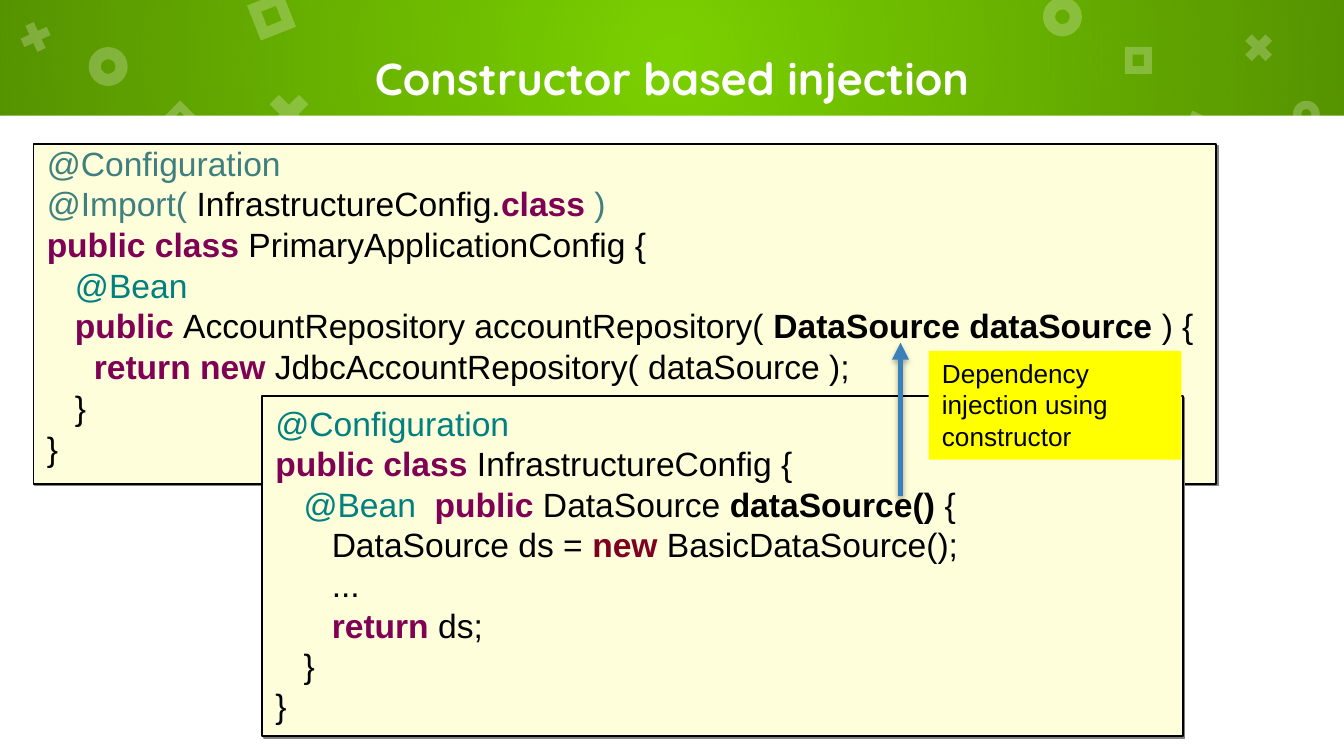
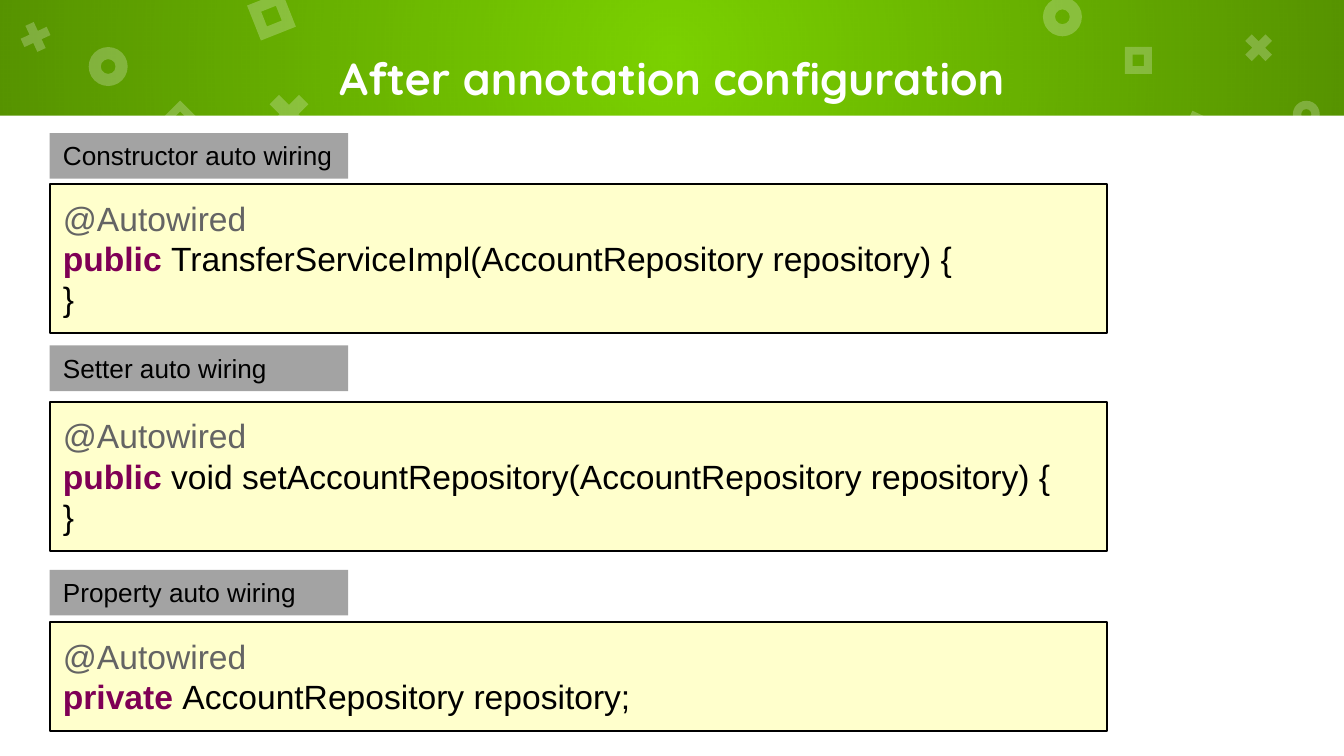
from lxml import etree
from pptx import Presentation
from pptx.dml.color import RGBColor
from pptx.enum.shapes import MSO_CONNECTOR, MSO_SHAPE as SHAPE
from pptx.enum.text import MSO_ANCHOR as ANCHOR, PP_ALIGN as ALIGN
from pptx.oxml import parse_xml
from pptx.oxml.ns import nsdecls, qn
from pptx.util import Inches, Pt

# ---- Shared look ----
SLIDE_WIDTH = 10
SLIDE_HEIGHT = SLIDE_WIDTH * 9 / 16
GREEN, WHITE, BLACK = "7BD100", "FFFFFF", "000000"
YELLOW, GREY, ARROW_BLUE = "FFFF00", "A3A3A3", "3A81BA"
LISTING_FILL, SNIPPET_FILL = "FEFFDA", "FFFFCC"
BAND_HEIGHT = 0.86
BODY_FONT, TITLE_FONT = "Arial", "Quicksand"
CODE_SIZE, LABEL_SIZE, TITLE_SIZE = 18, 14, 24
SPACE_WIDTH = 0.07          # one space of the code font, inches

# Code styles: colour, bold
STYLES = {
    "plain": (BLACK, False),
    "strong": (BLACK, True),
    "keyword": ("7F0055", True),
    "new": ("7E0021", True),
    "config": ("3F7F7F", False),
    "bean": ("008080", False),
    "autowired": ("646464", False),
}

# Band ornaments: shape, left, top, size, rotation
ORNAMENTS = [
    (SHAPE.DONUT, 0.66, 0.35, 0.29, 0),
    (SHAPE.MATH_MULTIPLY, 1.94, 0.64, 0.42, 0),
    (SHAPE.FRAME, 1.88, -0.02, 0.28, 338.4),
    (SHAPE.DONUT, 7.76, -0.02, 0.29, 0),
    (SHAPE.FRAME, 8.8, 0.87, 0.28, 25),
    (SHAPE.MATH_MULTIPLY, 0.12, 0.13, 0.29, 20.4),
    (SHAPE.FRAME, 1.24, 0.79, 0.2, 45),
    (SHAPE.DONUT, 9.62, 0.75, 0.2, 0),
    (SHAPE.MATH_MULTIPLY, 9.22, 0.21, 0.29, 0),
    (SHAPE.FRAME, 8.37, 0.35, 0.2, 0),
]
THICKNESS = {SHAPE.DONUT: 0.31, SHAPE.MATH_MULTIPLY: 0.235, SHAPE.FRAME: 0.289}

# ---- Content: each code line is (indent in spaces, runs of (text, style)) ----
PRIMARY_CONFIG = [
    (0, [("@Configuration", "config")]),
    (0, [("@Import( ", "config"), ("InfrastructureConfig.", "plain"),
         ("class", "keyword"), (" )", "config")]),
    (0, [("public class ", "keyword"), ("PrimaryApplicationConfig {", "plain")]),
    (3, [("@Bean", "bean")]),
    (3, [("public ", "keyword"),
         ("AccountRepository accountRepository( ", "plain"),
         ("DataSource dataSource ", "strong"), (") {", "plain")]),
    (5, [("return new ", "keyword"),
         ("JdbcAccountRepository( dataSource );", "plain")]),
    (3, [("}", "plain")]),
    (0, [("}", "plain")]),
]
INFRASTRUCTURE_CONFIG = [
    (0, [("@Configuration", "bean")]),
    (0, [("public class", "keyword"), (" InfrastructureConfig {", "plain")]),
    (3, [("@Bean  ", "bean"), ("public", "keyword"), (" DataSource ", "plain"),
         ("dataSource() ", "strong"), ("{", "plain")]),
    (6, [("DataSource ds = ", "plain"), ("new", "new"),
         (" BasicDataSource();", "plain")]),
    (6, [("...", "plain")]),
    (6, [("return", "keyword"), (" ds;", "plain")]),
    (3, [("}", "plain")]),
    (0, [("}", "plain")]),
]
CALLOUT = "Dependency injection using constructor"

# Wiring styles: label, label top, snippet top, snippet height, member lines
AUTOWIRED = (0, [("@Autowired", "autowired")])
CLOSING = (0, [("}", "plain")])
WIRINGS = [
    ("Constructor auto wiring", 0.99, 1.37, 1.11,
     [(0, [("public ", "keyword"),
           ("TransferServiceImpl(AccountRepository repository) {", "plain")]),
      CLOSING]),
    ("Setter auto wiring", 2.57, 2.99, 1.11,
     [(0, [("public", "keyword"),
           (" void setAccountRepository(AccountRepository repository) {", "plain")]),
      CLOSING]),
    ("Property auto wiring", 4.24, 4.63, 0.81,
     [(0, [("private ", "keyword"), ("AccountRepository repository;", "plain")])]),
]


# ---- Helpers ----
def rgb(value):
    return RGBColor.from_string(value)


def style_box(box, fill, line=None):
    box.shadow.inherit = False
    box.fill.solid()
    box.fill.fore_color.rgb = rgb(fill)
    if line:
        box.line.color.rgb = rgb(line)
        box.line.width = Pt(1)
    else:
        box.line.fill.background()
    return box


def add_box(slide, kind, left, top, width, height, fill, line=None):
    box = slide.shapes.add_shape(kind, *map(Inches, (left, top, width, height)))
    return style_box(box, fill, line)


def set_alpha(shape, percent):
    colour = shape.fill._xPr.find(qn("a:solidFill"))[0]
    etree.SubElement(colour, qn("a:alpha"), val=str(percent * 1000))


def add_shadow(shape, colour, alpha, blur, distance, angle):
    properties = shape._element.spPr
    for old in properties.findall(qn("a:effectLst")):
        properties.remove(old)
    properties.append(parse_xml(
        f'<a:effectLst {nsdecls("a")}><a:outerShdw blurRad="{Pt(blur)}" '
        f'dist="{Pt(distance)}" dir="{angle * 60000}" algn="ctr" rotWithShape="0">'
        f'<a:srgbClr val="{colour}"><a:alpha val="{alpha * 1000}"/></a:srgbClr>'
        '</a:outerShdw></a:effectLst>'))


def set_frame(shape, anchor, vertical_inset):
    frame = shape.text_frame
    frame.word_wrap = True
    frame.vertical_anchor = anchor
    frame.margin_left = frame.margin_right = Inches(0.1)
    frame.margin_top = frame.margin_bottom = Inches(vertical_inset)
    return frame


def add_run(paragraph, text, size, colour, bold=False, font=BODY_FONT):
    run = paragraph.add_run()
    run.text = text
    run.font.name, run.font.size, run.font.bold = font, Pt(size), bold
    run.font.color.rgb = rgb(colour)


def add_code(box, lines, vertical_inset, line_spacing=None, space_before=0):
    frame = set_frame(box, ANCHOR.TOP, vertical_inset)
    for number, (indent, runs) in enumerate(lines):
        line = frame.add_paragraph() if number else frame.paragraphs[0]
        line.alignment = ALIGN.LEFT
        line.line_spacing = line_spacing
        line.space_before = Pt(space_before)
        line._p.get_or_add_pPr().set("marL", str(Inches(indent * SPACE_WIDTH)))
        for text, style in runs:
            colour, bold = STYLES[style]
            add_run(line, text, CODE_SIZE, colour, bold)


def add_label(slide, text, left, top, width, height, fill):
    label = add_box(slide, SHAPE.RECTANGLE, left, top, width, height, fill)
    line = set_frame(label, ANCHOR.TOP, 0.05).paragraphs[0]
    line.alignment = ALIGN.LEFT
    add_run(line, text, LABEL_SIZE, BLACK)


def add_listing(slide, lines, left, top, width, height, **spacing):
    box = add_box(slide, SHAPE.RECTANGLE, left, top, width, height,
                  LISTING_FILL, BLACK)
    add_shadow(box, "808080", 100, 0, 1.4, 45)
    add_code(box, lines, 0.05, **spacing)


def add_titled_slide(title):
    slide = deck.slides.add_slide(deck.slide_layouts[6])
    slide.background.fill.solid()
    slide.background.fill.fore_color.rgb = rgb(GREEN)

    # Band that darkens away from its centre
    band = add_box(slide, SHAPE.RECTANGLE, 0, 0, SLIDE_WIDTH, BAND_HEIGHT, BLACK)
    solid = band._element.spPr.find(qn("a:solidFill"))
    solid.getparent().replace(solid, parse_xml(
        f'<a:gradFill {nsdecls("a")} rotWithShape="1"><a:gsLst>'
        f'<a:gs pos="0"><a:srgbClr val="{BLACK}"><a:alpha val="0"/></a:srgbClr></a:gs>'
        f'<a:gs pos="100000"><a:srgbClr val="{BLACK}"><a:alpha val="30000"/>'
        '</a:srgbClr></a:gs></a:gsLst><a:path path="circle">'
        '<a:fillToRect l="50000" t="50000" r="50000" b="50000"/></a:path></a:gradFill>'))
    add_box(slide, SHAPE.RECTANGLE, 0, BAND_HEIGHT, SLIDE_WIDTH,
            SLIDE_HEIGHT - BAND_HEIGHT, WHITE)

    for kind, left, top, size, rotation in ORNAMENTS:
        ornament = add_box(slide, kind, left, top, size, size, WHITE)
        ornament.adjustments[0] = THICKNESS[kind]
        ornament.rotation = rotation
        set_alpha(ornament, 24)

    heading = slide.shapes.add_textbox(*map(Inches, (0.95, 0, 8.1, 1.16)))
    line = set_frame(heading, ANCHOR.MIDDLE, 0.1).paragraphs[0]
    line.alignment = ALIGN.CENTER
    add_run(line, title, TITLE_SIZE, WHITE, True, TITLE_FONT)
    return slide


deck = Presentation()
deck.slide_width, deck.slide_height = Inches(SLIDE_WIDTH), Inches(SLIDE_HEIGHT)

# ---- Slide 1: two configuration classes joined by an arrow ----
injection = add_titled_slide("Constructor based injection")
add_listing(injection, PRIMARY_CONFIG, 0.25, 1.07, 8.8, 2.53,
            line_spacing=0.8, space_before=4.5)
add_listing(injection, INFRASTRUCTURE_CONFIG, 1.95, 2.95, 6.85, 2.53)

arrow = injection.shapes.add_connector(
    MSO_CONNECTOR.STRAIGHT, *map(Inches, (6.7, 3.69, 6.7, 2.55)))
arrow.line.color.rgb = rgb(ARROW_BLUE)
arrow.line.width = Pt(3)
etree.SubElement(arrow.line._get_or_add_ln(), qn("a:tailEnd"), type="triangle")
add_shadow(arrow, BLACK, 35, 3.1, 1.8, 90)
add_label(injection, CALLOUT, 6.91, 2.61, 1.88, 0.81, YELLOW)

# ---- Slide 2: the three kinds of auto wiring ----
annotation = add_titled_slide("After annotation configuration")
for _, _, snippet_top, snippet_height, member in WIRINGS:
    snippet = add_box(annotation, SHAPE.RECTANGLE, 0.37, snippet_top, 7.87,
                      snippet_height, SNIPPET_FILL, BLACK)
    add_code(snippet, [AUTOWIRED] + member, 0.1)
for label, label_top, *_ in WIRINGS:
    add_label(annotation, label, 0.37, label_top, 2.22, 0.34, GREY)

deck.save("out.pptx")
